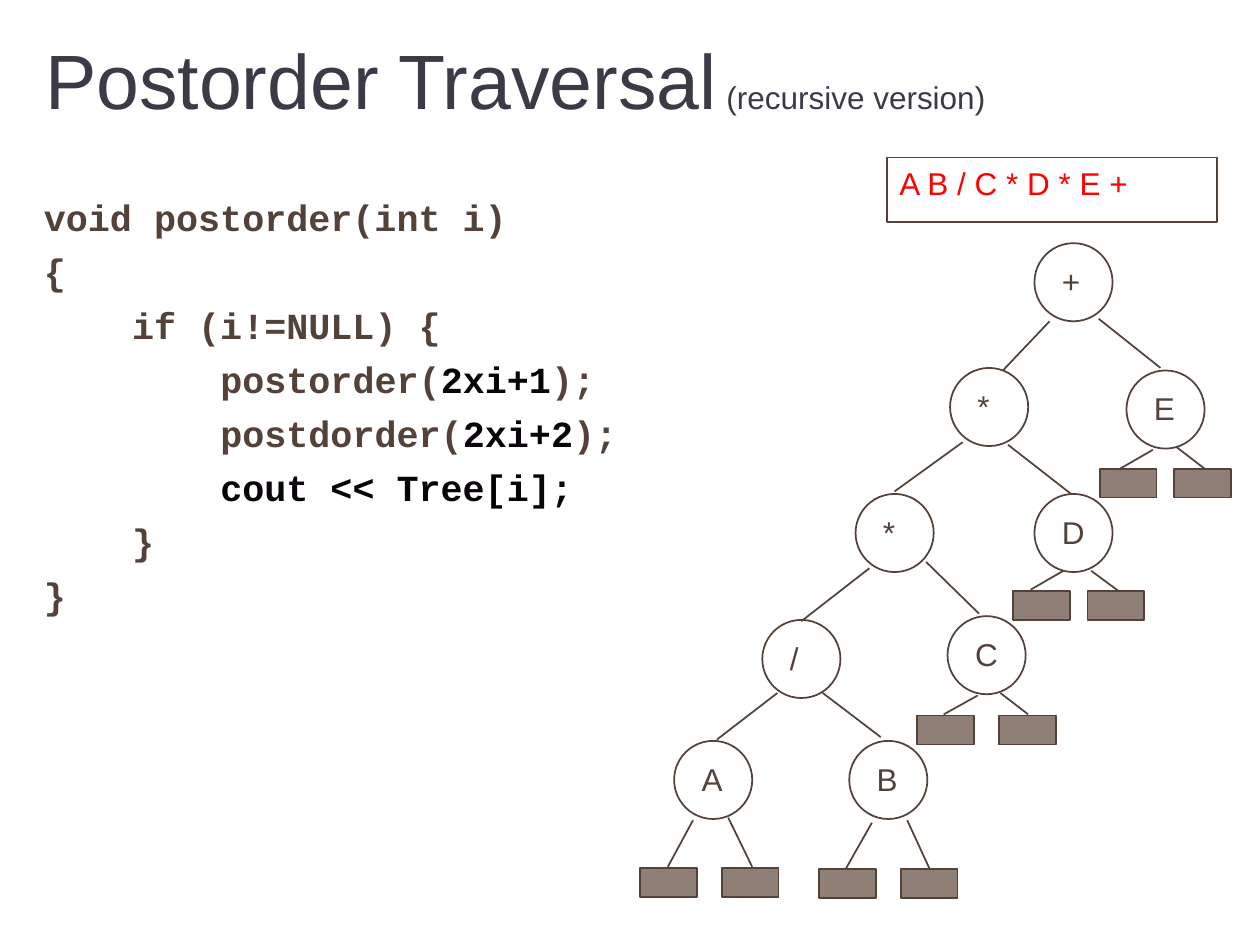
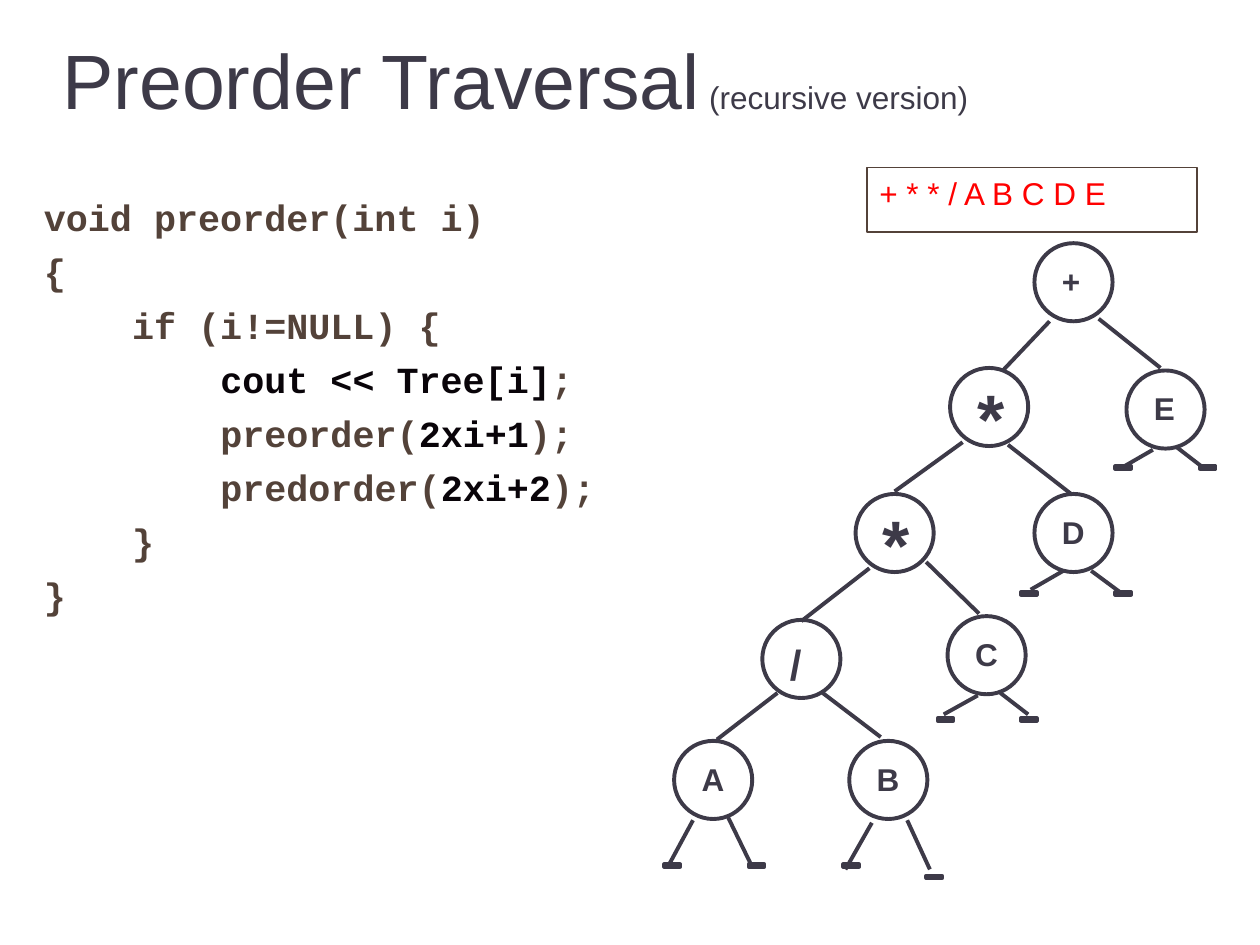
from pptx import Presentation
from pptx.dml.color import RGBColor
from pptx.enum.shapes import MSO_CONNECTOR, MSO_SHAPE
from pptx.enum.text import MSO_ANCHOR, MSO_AUTO_SIZE, PP_ALIGN
from pptx.oxml.ns import qn
from pptx.util import Inches, Pt
from lxml.etree import SubElement

COLORS = {
    "slate": "3D3A48",
    "brown": "534239",
    "black": "090409",
    "taupe": "907F76",
    "red": "FF0000",
}
NODE_SIZE = 0.62
CODE_INDENT = 0.7

nodes = [
    ("+", 8.21, 1.93), ("*", 7.54, 2.92), ("E", 8.94, 2.94),
    ("*", 6.79, 3.92), ("D", 8.21, 3.92), ("/", 6.05, 4.92),
    ("C", 7.52, 4.89), ("A", 5.35, 5.88), ("B", 6.74, 5.88),
]
label_widths = {"+": 0.39, "*": 0.37, "/": 0.29, "A": 0.44, "B": 0.42,
                "C": 0.42, "D": 0.44, "E": 0.4}
branches = [
    (8.33, 2.55, 7.96, 2.94), (8.72, 2.53, 9.21, 2.92),
    (7.64, 3.51, 7.1, 3.9), (8, 3.53, 8.5, 3.92),
    (6.9, 4.51, 6.36, 4.93), (7.35, 4.46, 7.77, 4.87),
    (6.17, 5.5, 5.69, 5.87), (6.53, 5.5, 6.99, 5.85),
    (5.5, 6.51, 5.3, 6.88), (5.78, 6.49, 5.97, 6.88),
    (6.92, 6.53, 6.71, 6.9), (7.2, 6.51, 7.38, 6.9),
    (7.76, 5.52, 7.49, 5.67), (7.94, 5.5, 8.16, 5.67),
    (8.44, 4.53, 8.18, 4.68), (8.66, 4.53, 8.89, 4.7),
    (9.15, 3.57, 8.89, 3.72), (9.34, 3.55, 9.56, 3.72),
]

traversals = [
    {
        "title": "Postorder Traversal",
        "code": [
            (0, "void postorder(int i)"), (0, "{"), (1, "if (i!=NULL) {"),
            (2, "postorder(|2xi+1|);"), (2, "postdorder(|2xi+2|);"),
            (2, "|cout << Tree[i];"), (1, "}"), (0, "}"),
        ],
        "output": "A B / C * D * E +",
        "output_at": (7.04, 1.25),
        "ink": "brown",
        "weight": 1,
        "bold": False,
        "label_sizes": {},
        "leaf_shape": MSO_SHAPE.RECTANGLE,
        "leaf_size": (0.45, 0.23),
        "leaves": [
            (5.08, 6.89), (5.73, 6.89), (6.5, 6.9), (7.15, 6.9),
            (7.28, 5.68), (7.93, 5.68), (8.04, 4.69), (8.63, 4.69),
            (8.73, 3.72), (9.32, 3.72),
        ],
    },
    {
        "title": "Preorder Traversal",
        "code": [
            (0, "void preorder(int i)"), (0, "{"), (1, "if (i!=NULL) {"),
            (2, "|cout << Tree[i]|;"), (2, "preorder(|2xi+1|);"),
            (2, "predorder(|2xi+2|);"), (1, "}"), (0, "}"),
        ],
        "output": "+ * * / A B C D E",
        "output_at": (6.88, 1.33),
        "ink": "slate",
        "weight": 2.25,
        "bold": True,
        "label_sizes": {"*": 40, "/": 24},
        "leaf_shape": MSO_SHAPE.MATH_MINUS,
        "leaf_size": (0.17, 0.08),
        "leaves": [
            (5.25, 6.83), (5.92, 6.83), (6.67, 6.83), (7.33, 6.92),
            (7.42, 5.67), (8.08, 5.67), (8.08, 4.67), (8.83, 4.67),
            (8.83, 3.67), (9.5, 3.67),
        ],
    },
]


def add_span(para, text, size, color, font="Arial", bold=False):
    span = para.add_run()
    span.text = text
    span.font.size = Pt(size)
    span.font.name = font
    span.font.bold = bold
    span.font.color.rgb = RGBColor.from_string(COLORS[color])


def add_outlined(page, kind, place, size, ink, weight, fill=None):
    shape = page.shapes.add_shape(kind, *map(Inches, place + size))
    shape.shadow.inherit = False
    shape.line.color.rgb = RGBColor.from_string(COLORS[ink])
    shape.line.width = Pt(weight)
    if fill:
        shape.fill.solid()
        shape.fill.fore_color.rgb = RGBColor.from_string(COLORS[fill])
    else:
        shape.fill.background()
    return shape


deck = Presentation()
deck.slide_width = Inches(10)
deck.slide_height = Inches(7.5)

for traversal in traversals:
    page = deck.slides.add_slide(deck.slide_layouts[5])
    ink, weight = traversal["ink"], traversal["weight"]

    title = page.shapes.title
    title.left, title.top = Inches(-0.92), Inches(0)
    title.width, title.height = Inches(10.02), Inches(1.25)
    title.text_frame.auto_size = MSO_AUTO_SIZE.NONE
    title.text_frame.vertical_anchor = MSO_ANCHOR.MIDDLE
    para = title.text_frame.paragraphs[0]
    para.alignment = PP_ALIGN.CENTER
    add_span(para, traversal["title"], 44, "slate")
    add_span(para, " (recursive version)", 18, "slate")

    code_box = page.shapes.add_textbox(Inches(0.25), Inches(1.5), Inches(7.58), Inches(4.5))
    code_box.text_frame.word_wrap = True
    for number, (level, line) in enumerate(traversal["code"]):
        para = code_box.text_frame.paragraphs[0] if number == 0 else code_box.text_frame.add_paragraph()
        para.space_before = Pt(5.6)
        properties = para._p.get_or_add_pPr()
        properties.set("marL", str(Inches(CODE_INDENT * level)))
        properties.set("indent", "0")
        for position, piece in enumerate(line.split("|")):
            if piece:
                color = "black" if position % 2 else "brown"
                add_span(para, piece, 21, color, "Courier New", True)

    for x1, y1, x2, y2 in branches:
        branch = page.shapes.add_connector(
            MSO_CONNECTOR.STRAIGHT, Inches(x1), Inches(y1), Inches(x2), Inches(y2))
        branch.line.color.rgb = RGBColor.from_string(COLORS[ink])
        branch.line.width = Pt(weight)
        SubElement(branch._element.spPr, qn("a:effectLst"))

    for symbol, x, y in nodes:
        add_outlined(page, MSO_SHAPE.OVAL, (x, y), (NODE_SIZE, NODE_SIZE), ink, weight)
        size = traversal["label_sizes"].get(symbol, 18)
        drop = 0 if size == 40 else 0.1
        label = page.shapes.add_textbox(
            Inches(x + 0.12), Inches(y + drop), Inches(label_widths[symbol]), Inches(0.4))
        label.text_frame.word_wrap = False
        label.text_frame.auto_size = MSO_AUTO_SIZE.SHAPE_TO_FIT_TEXT
        add_span(label.text_frame.paragraphs[0], symbol, size, ink, bold=traversal["bold"])

    for place in traversal["leaves"]:
        add_outlined(page, traversal["leaf_shape"], place, traversal["leaf_size"],
                     ink, weight, "taupe")

    output_box = add_outlined(page, MSO_SHAPE.RECTANGLE, traversal["output_at"],
                              (2.62, 0.51), "brown", 1)
    output_box.text_frame.vertical_anchor = MSO_ANCHOR.TOP
    para = output_box.text_frame.paragraphs[0]
    para.alignment = PP_ALIGN.LEFT
    add_span(para, traversal["output"], 18, "red")

deck.save("out.pptx")
